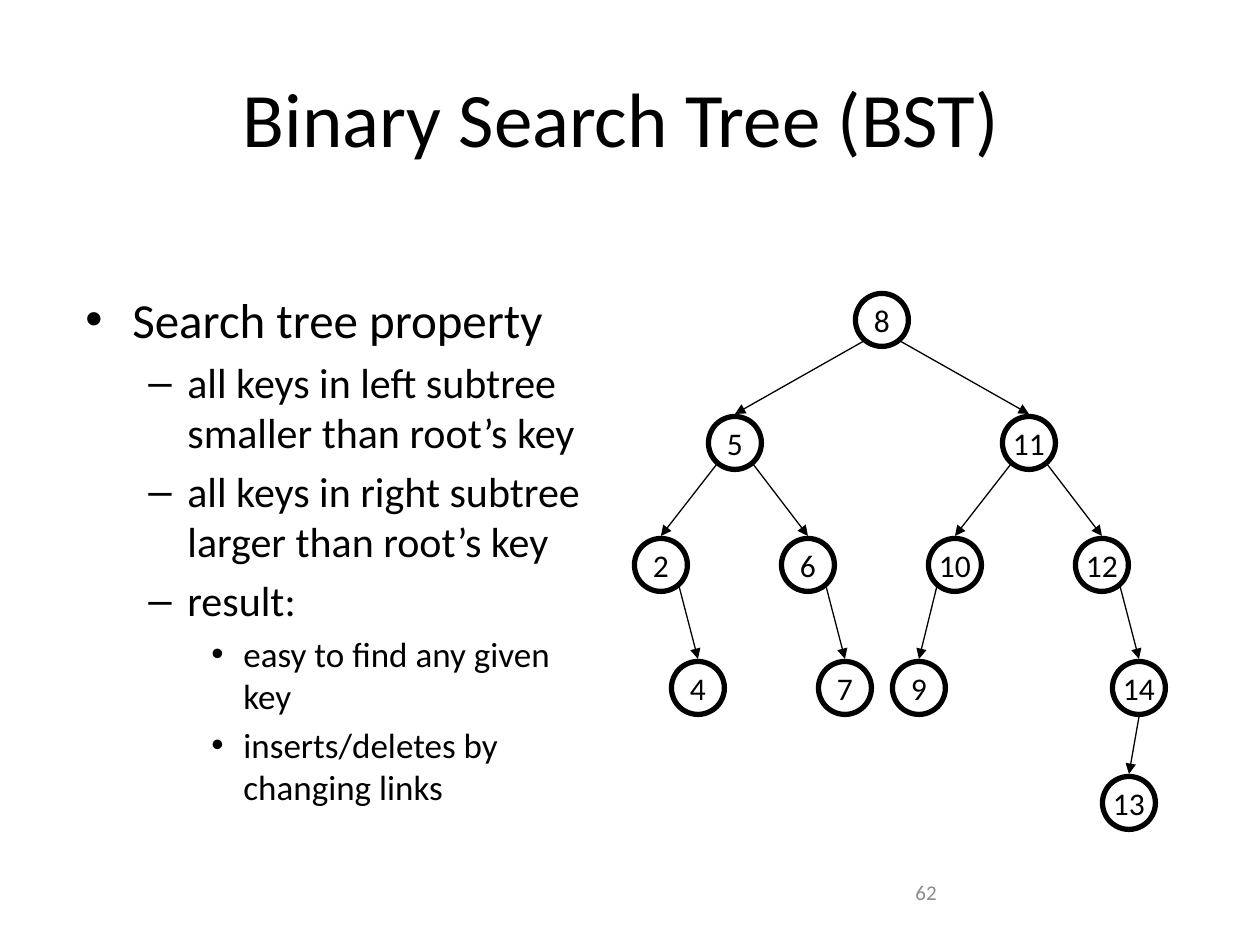
from lxml import etree
from pptx import Presentation
from pptx.dml.color import RGBColor
from pptx.enum.shapes import MSO_CONNECTOR, MSO_SHAPE
from pptx.enum.text import MSO_ANCHOR, PP_ALIGN
from pptx.oxml.ns import qn
from pptx.util import Pt

LINE = MSO_CONNECTOR.STRAIGHT
OVAL = MSO_SHAPE.OVAL
MID, TOP = MSO_ANCHOR.MIDDLE, MSO_ANCHOR.TOP
LEFT, CENTER = PP_ALIGN.LEFT, PP_ALIGN.CENTER

PX = 914400 // 126
FONT, BLACK, GRAY = "Calibri", "000000", "8C8C8C"
SIZE = 53   # node diameter
REACH = 29  # centre of a node to an arrow end above or below it
ROWS = [320, 443, 565, 688, 803]

# key: (centre x, row, parent)
TREE = {
    8: (882, 0, None),
    5: (735, 1, 8), 11: (1029, 1, 8),
    2: (661, 2, 5), 6: (808, 2, 5), 10: (955, 2, 11), 12: (1102, 2, 11),
    4: (698, 3, 2), 7: (845, 3, 6), 9: (919, 3, 10), 14: (1139, 3, 12),
    13: (1129, 4, 14),
}

# level: (bullet, size, left margin, hanging indent)
LEVELS = [("•", 28, 47, 47), ("–", 24, 102, 39), ("•", 20, 158, 32)]
POINTS = [
    (0, "Search tree property"),
    (1, "all keys in left subtree smaller than root’s key"),
    (1, "all keys in right subtree larger than root’s key"),
    (1, "result:"),
    (2, "easy to find any given key"),
    (2, "inserts/deletes by changing links"),
]


def color(code):
    return RGBColor.from_string(code)


def style(para, size, code=BLACK, align=LEFT):
    para.alignment = align
    para.font.name = FONT
    para.font.size = Pt(size)
    para.font.color.rgb = color(code)


def add_box(slide, x, y, w, h, anchor):
    frame = slide.shapes.add_textbox(x * PX, y * PX, w * PX, h * PX).text_frame
    frame.word_wrap = True
    frame.vertical_anchor = anchor
    return frame


def add_label(slide, text, x, y, w, h, size, code=BLACK, align=LEFT):
    para = add_box(slide, x, y, w, h, MID).paragraphs[0]
    para.text = text
    style(para, size, code, align)


def add_list(slide, points, x, y, w, h):
    frame = add_box(slide, x, y, w, h, TOP)
    for i, (level, text) in enumerate(points):
        mark, size, left, hang = LEVELS[level]
        para = frame.add_paragraph() if i else frame.paragraphs[0]
        para.text = text
        para.level = level
        props = para._p.get_or_add_pPr()
        props.set("marL", str(left * PX))
        props.set("indent", str(-hang * PX))
        etree.SubElement(props, qn("a:buFont")).set("typeface", "Arial")
        etree.SubElement(props, qn("a:buChar")).set("char", mark)
        para.space_before = Pt(size * 0.2 if i else 0)
        style(para, size)


def add_node(slide, key):
    x, row, _ = TREE[key]
    left, top = int((x - SIZE / 2) * PX), int((ROWS[row] - SIZE / 2) * PX)
    node = slide.shapes.add_shape(OVAL, left, top, SIZE * PX, SIZE * PX)
    node.shadow.inherit = False
    node.fill.background()
    node.line.color.rgb = color(BLACK)
    node.line.width = Pt(3)
    frame = node.text_frame
    frame.word_wrap = False
    frame.vertical_anchor = MID
    para = frame.paragraphs[0]
    para.text = str(key)
    style(para, 18, align=CENTER)


def add_arrow(slide, x1, y1, x2, y2):
    arrow = slide.shapes.add_connector(LINE, x1 * PX, y1 * PX, x2 * PX, y2 * PX)
    arrow.line.color.rgb = color(BLACK)
    arrow.line.width = Pt(0.75)
    etree.SubElement(arrow.line._get_or_add_ln(), qn("a:tailEnd")).set("type", "triangle")
    etree.SubElement(arrow._element.spPr, qn("a:effectLst"))


def add_link(slide, key):
    x, row, parent = TREE[key]
    px, prow, _ = TREE[parent]
    # A near-vertical link leaves from the bottom, others from a lower corner
    if abs(x - px) < SIZE / 2:
        dx, dy = 0, REACH
    else:
        dx, dy = (18 if x > px else -18), 21
    add_arrow(slide, px + dx, ROWS[prow] + dy, x, ROWS[row] - REACH)


def main():
    deck = Presentation()
    deck.slide_width, deck.slide_height = 1260 * PX, 945 * PX
    slide = deck.slides.add_slide(deck.slide_layouts[6])

    # Title, list and page number
    add_label(slide, "Binary Search Tree (BST) ", 63, 38, 1134, 157, 44, align=CENTER)
    add_list(slide, POINTS, 73, 283, 525, 567)
    add_label(slide, "62", 903, 861, 262, 63, 12, GRAY)

    # Tree
    for key, (_, _, parent) in TREE.items():
        add_node(slide, key)
        if parent is not None:
            add_link(slide, key)

    deck.save("out.pptx")


if __name__ == "__main__":
    main()
